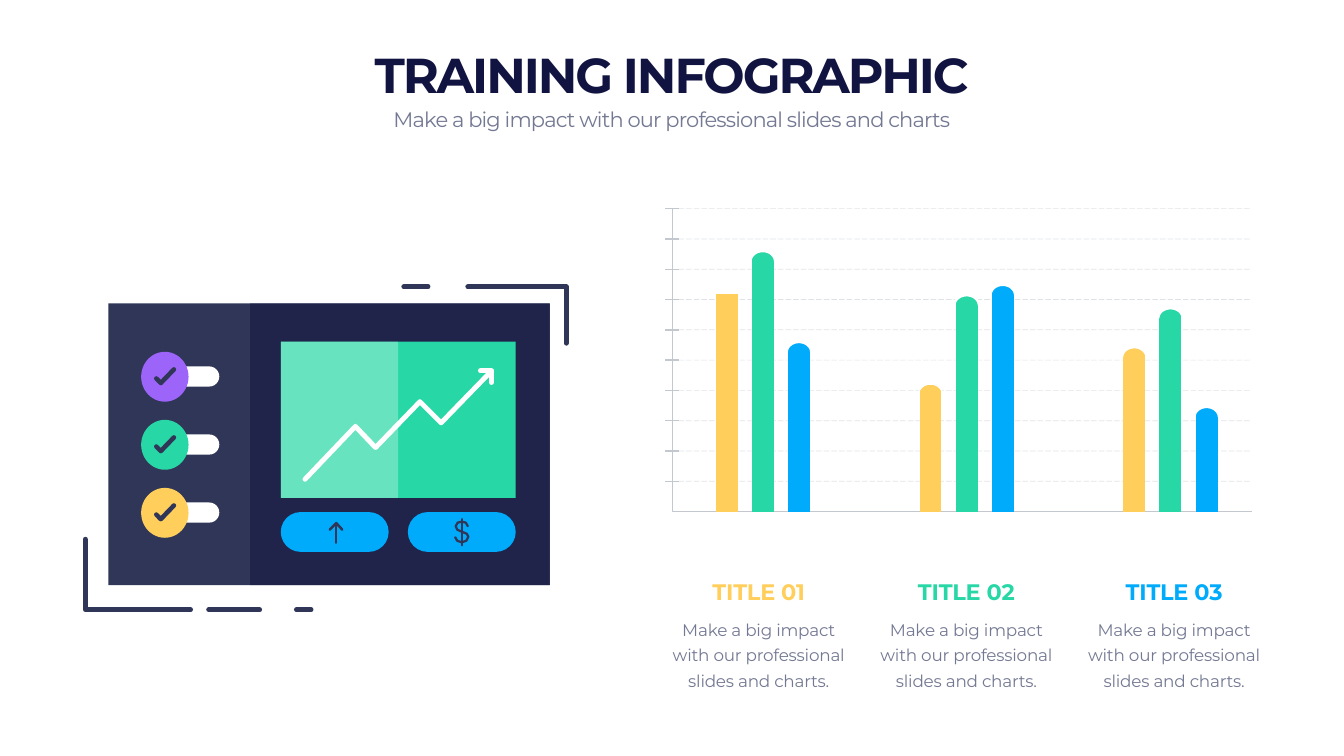
from dataclasses import dataclass
from math import cos, pi, sin

from lxml.etree import SubElement
from pptx import Presentation
from pptx.chart.data import CategoryChartData
from pptx.dml.color import RGBColor
from pptx.enum.chart import XL_CHART_TYPE as ChartType
from pptx.enum.dml import MSO_LINE as Dash
from pptx.enum.shapes import MSO_CONNECTOR as Connector, MSO_SHAPE as Preset
from pptx.enum.text import MSO_ANCHOR as Anchor, PP_ALIGN as Align
from pptx.oxml import parse_xml
from pptx.oxml.ns import nsdecls, qn
from pptx.util import Inches, Pt

# The slide is a grid of square cells; every length counts columns or rows.
COLUMNS, ROWS = 26.66, 15
CELL = Inches(1)

NAVY = RGBColor(0x11, 0x13, 0x40)
SLATE = RGBColor(0x30, 0x36, 0x57)
GRAY = RGBColor(0x74, 0x79, 0x93)
RULE = RGBColor(0xC3, 0xC8, 0xCE)
YELLOW = RGBColor(0xFF, 0xCE, 0x5B)
GREEN = RGBColor(0x28, 0xD7, 0xA6)
BLUE = RGBColor(0x00, 0xAB, 0xFB)
PURPLE = RGBColor(0x9D, 0x64, 0xFA)
WHITE = RGBColor(0xFF, 0xFF, 0xFF)

Point = tuple[float, float]


@dataclass(frozen=True)
class Area:
    left: float
    top: float
    width: float
    height: float

    def emu(self) -> list[int]:
        return [cells(n) for n in (self.left, self.top, self.width, self.height)]


@dataclass(frozen=True)
class TextStyle:
    size: float
    color: RGBColor
    spacing: float
    bold: bool = False
    leading: float | None = None
    anchor: Anchor = Anchor.TOP


@dataclass(frozen=True)
class Series:
    name: str
    color: RGBColor
    values: tuple[int, ...]


SERIES = (
    Series("Series 1", YELLOW, (84, 49, 63)),
    Series("Series 2", GREEN, (100, 83, 78)),
    Series("Series 3", BLUE, (65, 87, 40)),
)
CHART = Area(13.11, 4.15, 12.13, 6.01)
AXIS_LEFT, AXIS_RIGHT, AXIS_TOP, AXIS_BOTTOM = 13.34, 24.83, 4.14, 10.15
AXIS_MAX, GAP, OVERLAP = 116.6, 500, -65
SQUARE_BARS = {(0, 0)}
NARROW_CAPS = {(1, 0), (1, 1)}


def cells(count: float) -> int:
    return round(count * CELL)


def set_alpha(element, percent: int) -> None:
    for color in element.iter(qn("a:srgbClr")):
        SubElement(color, qn("a:alpha"), val=str(percent * 1000))


def add_text(slide, area: Area, text: str, style: TextStyle) -> None:
    frame = slide.shapes.add_textbox(*area.emu()).text_frame
    frame.word_wrap = True
    frame.vertical_anchor = style.anchor
    frame.text = text
    for para in frame.paragraphs:
        para.alignment = Align.CENTER
        if style.leading:
            para.line_spacing = Pt(style.leading)
        for span in para.runs:
            span.font.name = "Montserrat"
            span.font.size = Pt(style.size)
            span.font.bold = style.bold
            span.font.color.rgb = style.color
            span.font._element.set("spc", str(round(style.spacing * 100)))


def add_block(slide, preset: Preset, area: Area, color: RGBColor, alpha: int = 100) -> None:
    block = slide.shapes.add_shape(preset, *area.emu())
    block.shadow.inherit = False
    block.fill.solid()
    block.fill.fore_color.rgb = color
    block.line.fill.background()
    if preset == Preset.ROUNDED_RECTANGLE:
        block.adjustments[0] = 0.5
    if alpha < 100:
        set_alpha(block._element.spPr, alpha)


def add_outline(slide, points: list[Point], closed: bool = False):
    (x, y), *rest = [(cells(x), cells(y)) for x, y in points]
    builder = slide.shapes.build_freeform(x, y)
    builder.add_line_segments(rest, close=closed)
    outline = builder.convert_to_shape()
    outline.shadow.inherit = False
    return outline


def add_stroke(slide, points: list[Point], color: RGBColor, width: float, rounded: bool = True) -> None:
    """Draw a straight connector for two points, otherwise an open polyline."""
    if len(points) == 2:
        ends = [cells(n) for point in points for n in point]
        stroke = slide.shapes.add_connector(Connector.STRAIGHT, *ends)
    else:
        stroke = add_outline(slide, points)
        stroke.fill.background()
    stroke.line.color.rgb = color
    stroke.line.width = Pt(width)
    properties = stroke._element.spPr
    if rounded:
        line = properties.find(qn("a:ln"))
        line.set("cap", "rnd")
        SubElement(line, qn("a:round"))
    if len(points) == 2:
        SubElement(properties, qn("a:effectLst"))


def add_scale(slide) -> None:
    add_stroke(slide, [(AXIS_RIGHT, AXIS_BOTTOM), (AXIS_LEFT, AXIS_BOTTOM), (AXIS_LEFT, AXIS_TOP)],
               RULE, 2, rounded=False)
    for step in range(10):
        y = AXIS_TOP + step * (AXIS_BOTTOM - AXIS_TOP) / 10
        add_stroke(slide, [(AXIS_LEFT - 0.14, y), (AXIS_LEFT + 0.13, y)], RULE, 2, rounded=False)
        add_stroke(slide, [(AXIS_LEFT + 0.12, y), (AXIS_RIGHT, y)], RULE, 1, rounded=False)
        grid_line = slide.shapes[-1]
        grid_line.line.dash_style = Dash.LONG_DASH
        set_alpha(grid_line._element.spPr, 50)


def add_bars(slide) -> None:
    data = CategoryChartData()
    data.categories = ["1", "2", "3"]
    for series in SERIES:
        data.add_series(series.name, series.values)
    chart = slide.shapes.add_chart(ChartType.COLUMN_CLUSTERED, *CHART.emu(), data).chart
    chart.has_legend = chart.has_title = False
    chart.font.name, chart.font.size = "Calibri", Pt(10)
    chart.font.color.rgb = GRAY
    for axis in (chart.category_axis, chart.value_axis):
        axis.has_major_gridlines = False
        axis.visible = False
    chart.value_axis.minimum_scale, chart.value_axis.maximum_scale = 0, AXIS_MAX
    plot = chart.plots[0]
    plot.gap_width, plot.overlap, plot.vary_by_categories = GAP, OVERLAP, False
    for drawn, series in zip(plot.series, SERIES):
        drawn.format.fill.solid()
        drawn.format.fill.fore_color.rgb = series.color
    space = chart._chartSpace
    space.find(qn("c:txPr")).addprevious(parse_xml(
        f'<c:spPr {nsdecls("c", "a")}><a:noFill/><a:ln><a:noFill/></a:ln></c:spPr>'))
    area = next(space.iter(qn("c:plotArea")))
    for layout in area.findall(qn("c:layout")):
        area.remove(layout)
    area.insert(0, parse_xml(
        f'<c:layout {nsdecls("c")}><c:manualLayout><c:layoutTarget val="inner"/>'
        '<c:xMode val="edge"/><c:yMode val="edge"/><c:x val="0"/><c:y val="0"/>'
        '<c:w val="1"/><c:h val="1"/></c:manualLayout></c:layout>'))


def add_bar_caps(slide) -> None:
    """Round off the bar tops with white arches."""
    category = CHART.width / 3
    bar = category / (3 - 2 * OVERLAP / 100 + GAP / 100)
    for number, series in enumerate(SERIES):
        for group, value in enumerate(series.values):
            if (group, number) in SQUARE_BARS:
                continue
            x = CHART.left + group * category + bar * (3 + number * (1 - OVERLAP / 100))
            top = CHART.top + CHART.height * (1 - value / AXIS_MAX)
            half = 0.23 if (group, number) in NARROW_CAPS else 0.3
            arch = [(x + 0.22 * cos(pi * n / 16), top + 0.18 - 0.18 * sin(pi * n / 16)) for n in range(17)]
            corners = [(x - half, top + 0.18), (x - half, top - 0.12),
                       (x + half, top - 0.12), (x + half, top + 0.18)]
            cap = add_outline(slide, arch + corners, closed=True)
            cap.fill.solid()
            cap.fill.fore_color.rgb = WHITE
            cap.line.fill.background()


def add_dashboard(slide) -> None:
    add_block(slide, Preset.RECTANGLE, Area(2.15, 6.02, 8.76, 5.59), SLATE)
    add_block(slide, Preset.RECTANGLE, Area(4.96, 6.02, 5.94, 5.59), NAVY, 50)
    for row, color in enumerate((PURPLE, GREEN, YELLOW)):
        y = 6.98 + 1.35 * row
        add_block(slide, Preset.ROUNDED_RECTANGLE, Area(3.36, y + 0.29, 0.99, 0.4), WHITE)
        add_block(slide, Preset.OVAL, Area(2.8, y, 0.94, 0.99), color)
        add_stroke(slide, [(3.1, y + 0.53), (3.19, y + 0.62), (3.45, y + 0.35)], SLATE, 6.5)
    for left in (5.57, 8.09):
        add_block(slide, Preset.ROUNDED_RECTANGLE, Area(left, 10.16, 2.14, 0.79), BLUE)
    add_stroke(slide, [(6.67, 10.77), (6.67, 10.39)], SLATE, 3.6)
    add_stroke(slide, [(6.54, 10.51), (6.67, 10.38), (6.79, 10.51)], SLATE, 3.6)
    add_stroke(slide, [(9.16, 10.3), (9.16, 10.82)], SLATE, 3.4)
    add_stroke(slide, [(9.28, 10.44), (9.24, 10.37), (9.16, 10.35), (9.08, 10.37), (9.04, 10.44),
                       (9.07, 10.51), (9.16, 10.55), (9.26, 10.59), (9.29, 10.65), (9.25, 10.73),
                       (9.16, 10.76), (9.07, 10.73), (9.03, 10.66)], SLATE, 3.2)
    add_block(slide, Preset.RECTANGLE, Area(5.57, 6.78, 4.66, 3.1), GREEN)
    add_stroke(slide, [(6.05, 9.51), (7.05, 8.46), (7.45, 8.88), (8.33, 7.97), (8.75, 8.39), (9.75, 7.36)],
               WHITE, 7)
    add_stroke(slide, [(9.53, 7.36), (9.75, 7.36), (9.75, 7.59)], WHITE, 7)
    add_block(slide, Preset.RECTANGLE, Area(5.57, 6.78, 2.33, 3.1), WHITE, 30)
    for points in ([(9.28, 5.69), (11.23, 5.69), (11.23, 6.81)], [(8.01, 5.69), (8.49, 5.69)],
                   [(3.78, 12.1), (1.69, 12.1), (1.69, 10.7)], [(4.14, 12.1), (5.15, 12.1)],
                   [(5.88, 12.1), (6.17, 12.1)]):
        add_stroke(slide, points, SLATE, 7)


def main() -> None:
    deck = Presentation()
    deck.slide_width, deck.slide_height = cells(COLUMNS), cells(ROWS)
    page = deck.slides.add_slide(deck.slide_layouts[6])
    add_text(page, Area(1.66, 0.82, 23.33, 1.28), "TRAINING INFOGRAPHIC",
             TextStyle(70, NAVY, -2.9, bold=True, anchor=Anchor.BOTTOM))
    add_text(page, Area(1.66, 2.06, 23.33, 0.61),
             "Make a big impact with our professional slides and charts", TextStyle(30, GRAY, -1.2))
    for number, series in enumerate(SERIES):
        left = 13.11 + 4.12 * number
        add_text(page, Area(left, 12.15, 3.88, 1.57),
                 "Make a big impact\nwith our professional\nslides and charts.",
                 TextStyle(24, GRAY, -0.3, leading=36))
        add_text(page, Area(left, 11.42, 3.88, 0.64), f"TITLE 0{number + 1}",
                 TextStyle(32, series.color, -0.3, bold=True, anchor=Anchor.BOTTOM))
    add_scale(page)
    add_bars(page)
    add_bar_caps(page)
    add_dashboard(page)
    deck.save("out.pptx")


if __name__ == "__main__":
    main()
